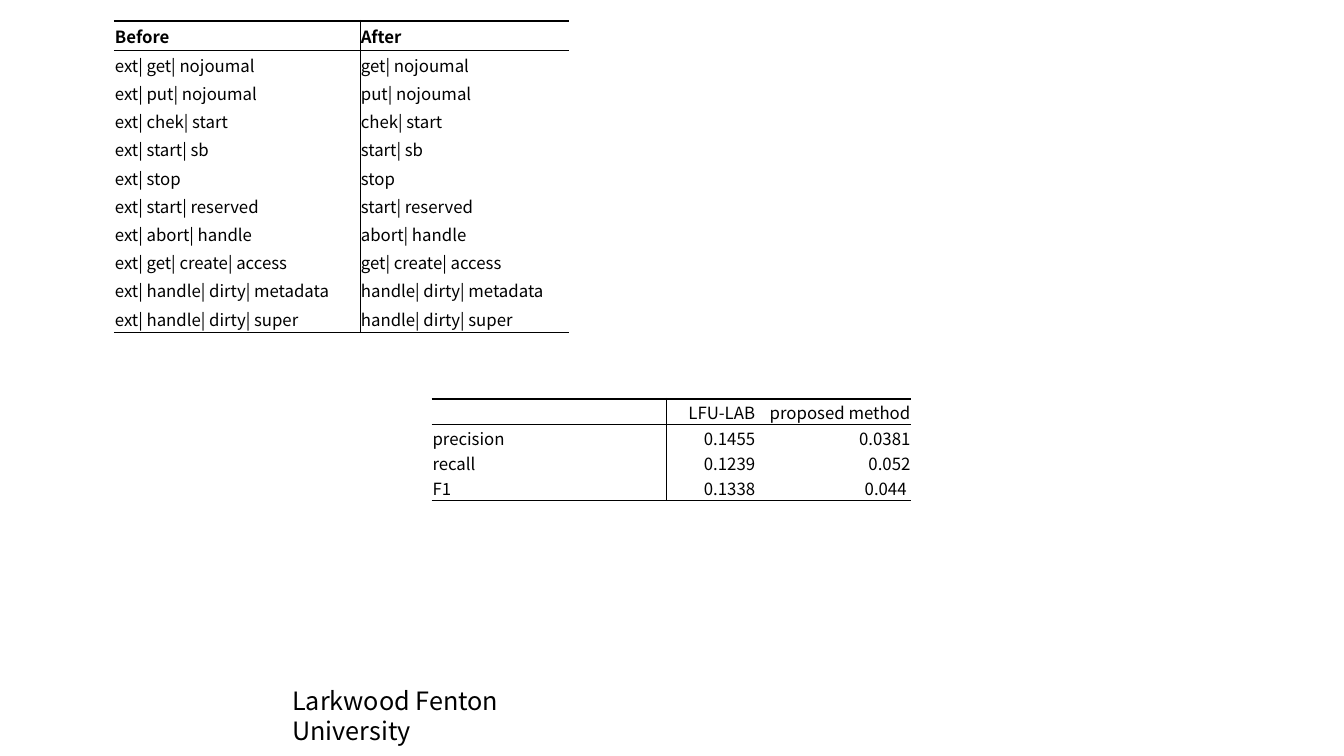
from lxml import etree
from pptx import Presentation
from pptx.dml.color import RGBColor as RGB
from pptx.enum.text import MSO_ANCHOR as Anchor, MSO_AUTO_SIZE as Auto, PP_ALIGN as Align
from pptx.oxml.ns import qn
from pptx.util import Inches, Pt

COLORS = {"ink": "000000"}
FONT = "Noto Sans CJK JP"
THICK, THIN = 2, 0.5

TERMS = [
    "get| nojoumal", "put| nojoumal", "chek| start", "start| sb", "stop",
    "start| reserved", "abort| handle", "get| create| access",
    "handle| dirty| metadata", "handle| dirty| super",
]
NAMES = [["Before", "After"]] + [["ext| " + term, term] for term in TERMS]
SCORES = [
    ["", "LFU-LAB", "proposed method"],
    ["precision", "0.1455", "0.0381"],
    ["recall", "0.1239", "0.052"],
    ["F1", "0.1338", "0.044 "],
]


def add_run(para, text, size, bold=False):
    """Add one styled run to a paragraph."""
    run = para.add_run()
    run.text = text
    font = run.font
    font.name, font.size, font.bold = FONT, Pt(size), bold
    font.color.rgb = RGB.from_string(COLORS["ink"])


def set_edge(cell, side, width):
    """Draw one border of a cell, or clear it when the width is zero."""
    line = etree.SubElement(cell._tc.get_or_add_tcPr(), qn("a:ln" + side))
    if width:
        line.set("w", str(Pt(width)))
        fill = etree.SubElement(line, qn("a:solidFill"))
        etree.SubElement(fill, qn("a:srgbClr"), val=COLORS["ink"])
    else:
        etree.SubElement(line, qn("a:noFill"))


def fill_cell(cell, text, bold, align):
    """Set the margins and text of a cell."""
    cell.fill.background()
    cell.vertical_anchor = Anchor.MIDDLE
    cell.margin_left = cell.margin_right = cell.margin_top = Inches(0.01)
    cell.margin_bottom = 0
    para = cell.text_frame.paragraphs[0]
    para.alignment = align
    if text:
        add_run(para, text, 12, bold)
    else:
        etree.SubElement(para._p, qn("a:endParaRPr"), sz="1200")


def add_grid(slide, box, rows, widths, heights, bold=False, align=Align.LEFT):
    """Add a ruled table with a header row and a stub column."""
    frame = slide.shapes.add_table(len(rows), len(widths), *map(Inches, box))
    table = frame.table
    table.first_row = table.horz_banding = False
    for col, width in zip(table.columns, widths):
        col.width = Inches(width)
    for row, height in zip(table.rows, heights):
        row.height = Inches(height)
    last = len(rows) - 1
    for r, row in enumerate(rows):
        for c, text in enumerate(row):
            cell = table.cell(r, c)
            edges = {
                "L": THIN if c == 1 else 0,
                "R": THIN if c == 0 else 0,
                "T": {0: THICK, 1: THIN}.get(r, 0),
                "B": THIN if r in (0, last) else 0,
            }
            for side, width in edges.items():
                set_edge(cell, side, width)
            fill_cell(cell, text, bold and r == 0, align if c else Align.LEFT)


def add_label(slide, box, text):
    """Add the name of the school as a text box."""
    frame = slide.shapes.add_textbox(*map(Inches, box)).text_frame
    frame.word_wrap = False
    frame.auto_size = Auto.SHAPE_TO_FIT_TEXT
    add_run(frame.paragraphs[0], text, 18)


def build():
    """Build the slide and save the deck."""
    deck = Presentation()
    deck.slide_width, deck.slide_height = Inches(13.33), Inches(7.5)
    slide = deck.slides.add_slide(deck.slide_layouts[6])
    add_grid(slide, (4.28, 3.96, 4.76, 0.84), SCORES, [2.33, 0.89, 1.54],
             [0.19] * len(SCORES), align=Align.RIGHT)
    add_grid(slide, (1.13, 0.21, 4.51, 3.07), NAMES, [2.44, 2.07],
             [0.29] + [0.28] * len(TERMS), bold=True)
    add_label(slide, (2.8, 6.75, 3.34, 0.4), "Larkwood Fenton University")
    deck.save("out.pptx")


build()
